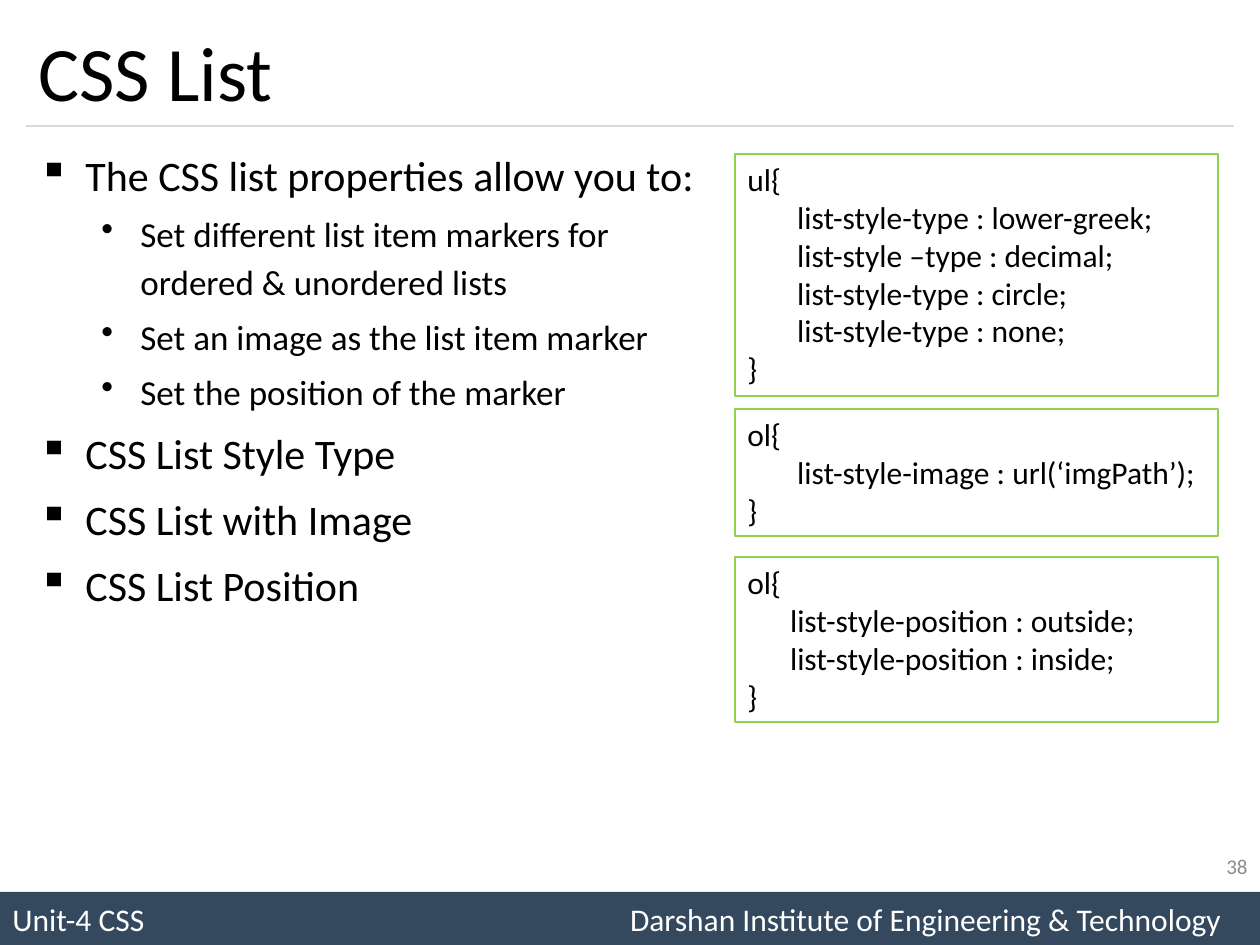
from lxml.etree import SubElement
from pptx import Presentation
from pptx.dml.color import RGBColor
from pptx.enum.shapes import MSO_CONNECTOR, MSO_SHAPE
from pptx.enum.text import MSO_ANCHOR, PP_ALIGN
from pptx.oxml.ns import qn
from pptx.util import Pt

SCALE = 914400 / 126
WIDTH, HEIGHT = 1260, 945


class Theme:
    font = "Calibri"
    ink = RGBColor.from_string("000000")
    paper = RGBColor.from_string("FFFFFF")
    muted = RGBColor.from_string("8C8C8C")
    rule = RGBColor.from_string("D9D9D9")
    band = RGBColor.from_string("34495E")
    frame = RGBColor.from_string("92D050")
    title_size, code_size, number_size = 44, 18, 12
    level_sizes = (24, 20)
    line_width = 0.75
    line_spacing = 1.14


BULLETS = (("▪", 47, 47), ("•", 102, 39))
POINTS = (
    (0, "The CSS list properties allow you to:"),
    (1, "Set different list item markers for ordered & unordered lists"),
    (1, "Set an image as the list item marker"),
    (1, "Set the position of the marker"),
    (0, "CSS List Style Type"),
    (0, "CSS List with Image"),
    (0, "CSS List Position"),
)
CODE_BLOCKS = (
    ((735, 154, 483, 242), (
        "ul{",
        "       list-style-type : lower-greek;",
        "       list-style –type : decimal;",
        "       list-style-type : circle;",
        "       list-style-type : none;",
        "}",
    )),
    ((735, 409, 483, 127), (
        "ol{",
        "       list-style-image : url(‘imgPath’);",
        "}",
    )),
    ((735, 557, 483, 165), (
        "ol{",
        "      list-style-position : outside;",
        "      list-style-position : inside;",
        "}",
    )),
)


def px(length):
    return round(length * SCALE)


def apply_format(target, values):
    for name, value in values.items():
        setattr(target, name, value)


def write(paragraph, text, size, color, **layout):
    paragraph.text = text
    apply_format(paragraph, layout)
    apply_format(paragraph.font, {"name": Theme.font, "size": Pt(size)})
    paragraph.font.color.rgb = color


def add_text_frame(slide, box, anchor=MSO_ANCHOR.MIDDLE):
    frame = slide.shapes.add_textbox(*map(px, box)).text_frame
    apply_format(frame, {"word_wrap": True, "vertical_anchor": anchor})
    return frame


def add_rectangle(slide, box):
    shape = slide.shapes.add_shape(MSO_SHAPE.RECTANGLE, *map(px, box))
    shape.shadow.inherit = False
    return shape


def next_paragraph(frame, index):
    return frame.add_paragraph() if index else frame.paragraphs[0]


def add_footer(slide, box):
    band = add_rectangle(slide, box)
    band.fill.solid()
    band.fill.fore_color.rgb = Theme.band
    band.line.fill.background()
    paragraph = band.text_frame.paragraphs[0]
    tabs = SubElement(paragraph._p.get_or_add_pPr(), qn("a:tabLst"))
    SubElement(tabs, qn("a:tab"), pos=str(px(box[2] - 51)), algn="r")
    write(paragraph, "Unit-4 CSS\tDarshan Institute of Engineering & Technology",
          Theme.code_size, Theme.paper, alignment=PP_ALIGN.LEFT)


def add_header(slide, box):
    left, top, width, height = box
    bottom = top + height
    rule = slide.shapes.add_connector(
        MSO_CONNECTOR.STRAIGHT, *map(px, (left, bottom, left + width, bottom)))
    rule.line.color.rgb = Theme.rule
    rule.line.width = Pt(Theme.line_width)
    SubElement(rule._element.spPr, qn("a:effectLst"))
    write(add_text_frame(slide, box).paragraphs[0], "CSS List",
          Theme.title_size, Theme.ink)


def add_points(slide, box):
    frame = add_text_frame(slide, box, MSO_ANCHOR.TOP)
    for index, (level, text) in enumerate(POINTS):
        paragraph = next_paragraph(frame, index)
        character, margin, hanging = BULLETS[level]
        properties = paragraph._p.get_or_add_pPr()
        properties.set("marL", str(px(margin)))
        properties.set("indent", str(-px(hanging)))
        SubElement(properties, qn("a:buChar"), char=character)
        size = Theme.level_sizes[level]
        write(paragraph, text, size, Theme.ink, level=level,
              line_spacing=Theme.line_spacing,
              space_before=Pt(size * 0.2 if index else 0))


def add_code(slide, box, lines):
    shape = add_rectangle(slide, box)
    shape.fill.background()
    shape.line.color.rgb = Theme.frame
    shape.line.width = Pt(Theme.line_width)
    frame = shape.text_frame
    apply_format(frame, {"word_wrap": True, "vertical_anchor": MSO_ANCHOR.TOP})
    for index, line in enumerate(lines):
        write(next_paragraph(frame, index), line, Theme.code_size, Theme.ink,
              alignment=PP_ALIGN.LEFT)


def add_slide_number(slide, box):
    write(add_text_frame(slide, box).paragraphs[0], "38",
          Theme.number_size, Theme.muted, alignment=PP_ALIGN.RIGHT)


def main():
    presentation = Presentation()
    apply_format(presentation, {"slide_width": px(WIDTH), "slide_height": px(HEIGHT)})
    slide = presentation.slides.add_slide(presentation.slide_layouts[6])
    add_footer(slide, (0, 892, WIDTH, 53))
    add_header(slide, (26, 15, 1208, 111))
    add_points(slide, (26, 136, 709, 735))
    for box, lines in CODE_BLOCKS:
        add_code(slide, box, lines)
    add_slide_number(slide, (966, 841, 294, 50))
    presentation.save("out.pptx")


if __name__ == "__main__":
    main()
